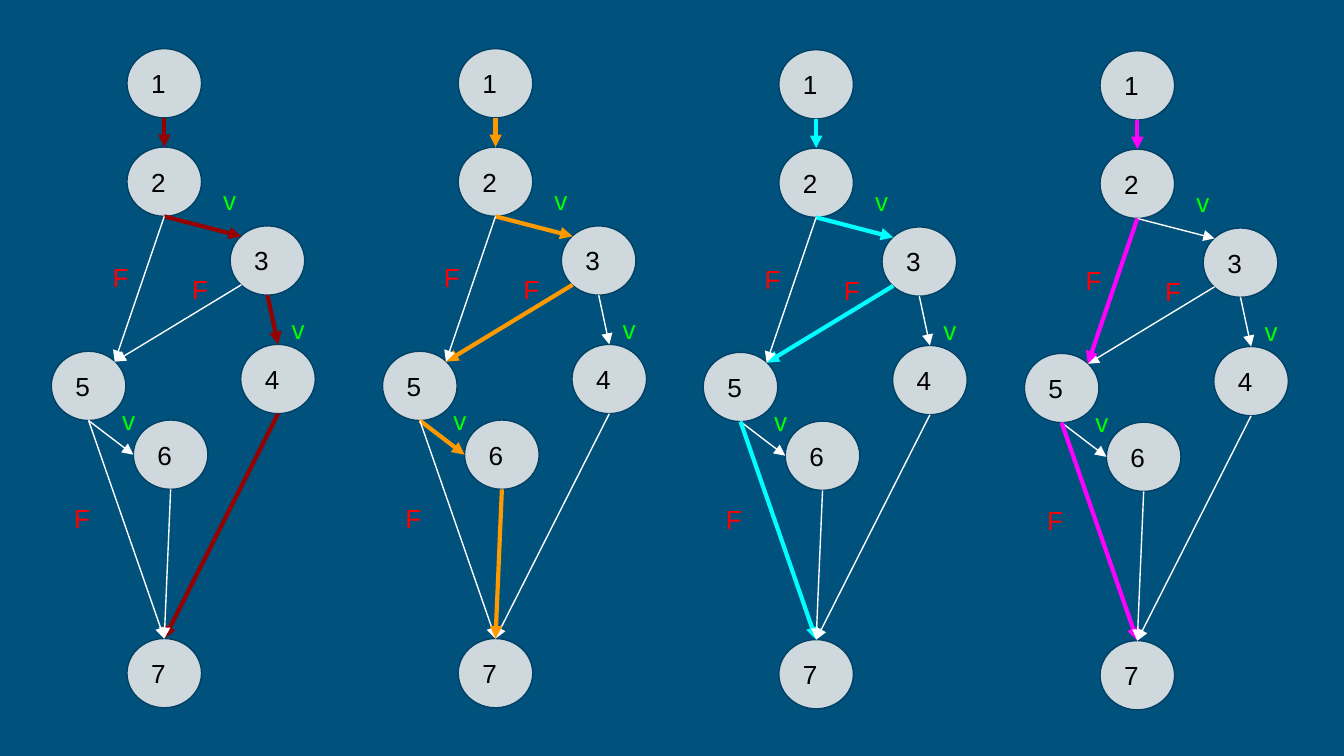
from dataclasses import dataclass
from itertools import pairwise

from lxml import etree
from pptx import Presentation
from pptx.dml.color import RGBColor
from pptx.enum.shapes import MSO_CONNECTOR, MSO_SHAPE
from pptx.enum.text import MSO_ANCHOR, PP_ALIGN
from pptx.oxml.ns import qn
from pptx.util import Cm, Pt

OVAL = MSO_SHAPE.OVAL
STRAIGHT = MSO_CONNECTOR.STRAIGHT
LEFT = PP_ALIGN.LEFT
TOP, MIDDLE = MSO_ANCHOR.TOP, MSO_ANCHOR.MIDDLE


@dataclass(frozen=True)
class Theme:
    background: str = "00517C"
    node_fill: str = "CFD8DC"
    node_line: str = "004065"
    node_text: str = "000000"
    edge: str = "FFFFFF"
    true_label: str = "00FF00"
    false_label: str = "FF0000"
    font: str = "Arial"
    text_size: float = 14
    thin: float = 0.75
    thick: float = 2.25


# Sizes and offsets in centimetres, from the corner of one flow graph
NODE_SIZE = (1.41, 1.31)
LABEL_SIZE = (1.07, 0.76)
INSET = 0.25
NODES = {
    1: (1.43, 0), 2: (1.43, 1.86), 3: (3.38, 3.35), 5: (0, 5.72),
    6: (1.55, 7.02), 4: (3.58, 5.59), 7: (1.43, 11.15),
}

# Points on an ellipse, as shares of its width and height
SITES = {
    "top": (0.5, 0), "bottom": (0.5, 1), "left": (0, 0.5),
    "top left": (0.15, 0.15), "top right": (0.85, 0.15),
    "bottom left": (0.15, 0.85),
}
EDGES = [
    (1, "bottom", 2, "top"), (2, "bottom", 3, "top left"),
    (3, "bottom left", 5, "top right"), (2, "bottom", 5, "top right"),
    (3, "bottom", 4, "top"), (5, "bottom", 6, "left"),
    (5, "bottom", 7, "top"), (4, "bottom", 7, "top"),
    (6, "bottom", 7, "top"),
]
LABELS = [
    ("v", 3.0, 2.31), ("v", 4.29, 4.75), ("F", 2.41, 3.99),
    ("F", 0.91, 3.78), ("F", 0.18, 8.33), ("v", 1.09, 6.48),
]

# Each graph: corner, path colour, nodes along the path
GRAPHS = [
    ((0.97, 0.92), "980000", (1, 2, 3, 4, 7)),
    ((7.23, 0.92), "FF9900", (1, 2, 3, 5, 6, 7)),
    ((13.29, 0.94), "00FFFF", (1, 2, 3, 5, 7)),
    ((19.36, 0.96), "FF00FF", (1, 2, 5, 7)),
]


class GraphPainter:
    def __init__(self, page, theme):
        self.page = page
        self.theme = theme
        page.background.fill.solid()
        page.background.fill.fore_color.rgb = RGBColor.from_string(theme.background)

    def add_text(self, box, text, color, anchor):
        frame = box.text_frame
        formats = {
            "word_wrap": True, "vertical_anchor": anchor,
            "margin_left": Cm(INSET), "margin_right": Cm(INSET),
            "margin_top": Cm(INSET), "margin_bottom": Cm(INSET),
        }
        for name, value in formats.items():
            setattr(frame, name, value)
        para = frame.paragraphs[0]
        para.alignment = LEFT
        span = para.add_run()
        span.text = text
        for name, value in {"name": self.theme.font, "size": Pt(self.theme.text_size)}.items():
            setattr(span.font, name, value)
        span.font.color.rgb = RGBColor.from_string(color)

    def node(self, number, x, y):
        theme = self.theme
        oval = self.page.shapes.add_shape(OVAL, Cm(x), Cm(y), *map(Cm, NODE_SIZE))
        oval.shadow.inherit = False
        oval.fill.solid()
        oval.fill.fore_color.rgb = RGBColor.from_string(theme.node_fill)
        oval.line.color.rgb = RGBColor.from_string(theme.node_line)
        oval.line.width = Pt(theme.thin)
        self.add_text(oval, str(number), theme.node_text, MIDDLE)

    def arrow(self, start, end, color, width):
        arrow = self.page.shapes.add_connector(STRAIGHT, *map(Cm, (*start, *end)))
        arrow.line.color.rgb = RGBColor.from_string(color)
        arrow.line.width = Pt(width)
        properties = arrow.element.spPr
        etree.SubElement(properties.find(qn("a:ln")), qn("a:tailEnd"), type="triangle")
        etree.SubElement(properties, qn("a:effectLst"))

    def label(self, text, x, y):
        box = self.page.shapes.add_textbox(Cm(x), Cm(y), *map(Cm, LABEL_SIZE))
        color = self.theme.true_label if text == "v" else self.theme.false_label
        self.add_text(box, text, color, TOP)

    def graph(self, corner, path_color, route):
        left, top = corner
        theme = self.theme

        def site(number, side):
            return [
                base + offset + size * share
                for base, offset, size, share
                in zip(corner, NODES[number], NODE_SIZE, SITES[side])
            ]

        # Nodes
        for number, (x, y) in NODES.items():
            self.node(number, left + x, top + y)

        # Edges, with the chosen route highlighted
        steps = set(pairwise(route))
        for source, source_side, target, target_side in EDGES:
            on_route = (source, target) in steps
            self.arrow(
                site(source, source_side), site(target, target_side),
                path_color if on_route else theme.edge,
                theme.thick if on_route else theme.thin,
            )

        # Branch labels
        for text, x, y in LABELS:
            self.label(text, left + x, top + y)


def main():
    deck = Presentation()
    deck.slide_width, deck.slide_height = Cm(25.4), Cm(14.29)
    page = deck.slides.add_slide(deck.slide_layouts[6])
    painter = GraphPainter(page, Theme())
    for corner, path_color, route in GRAPHS:
        painter.graph(corner, path_color, route)
    deck.save("out.pptx")


if __name__ == "__main__":
    main()
